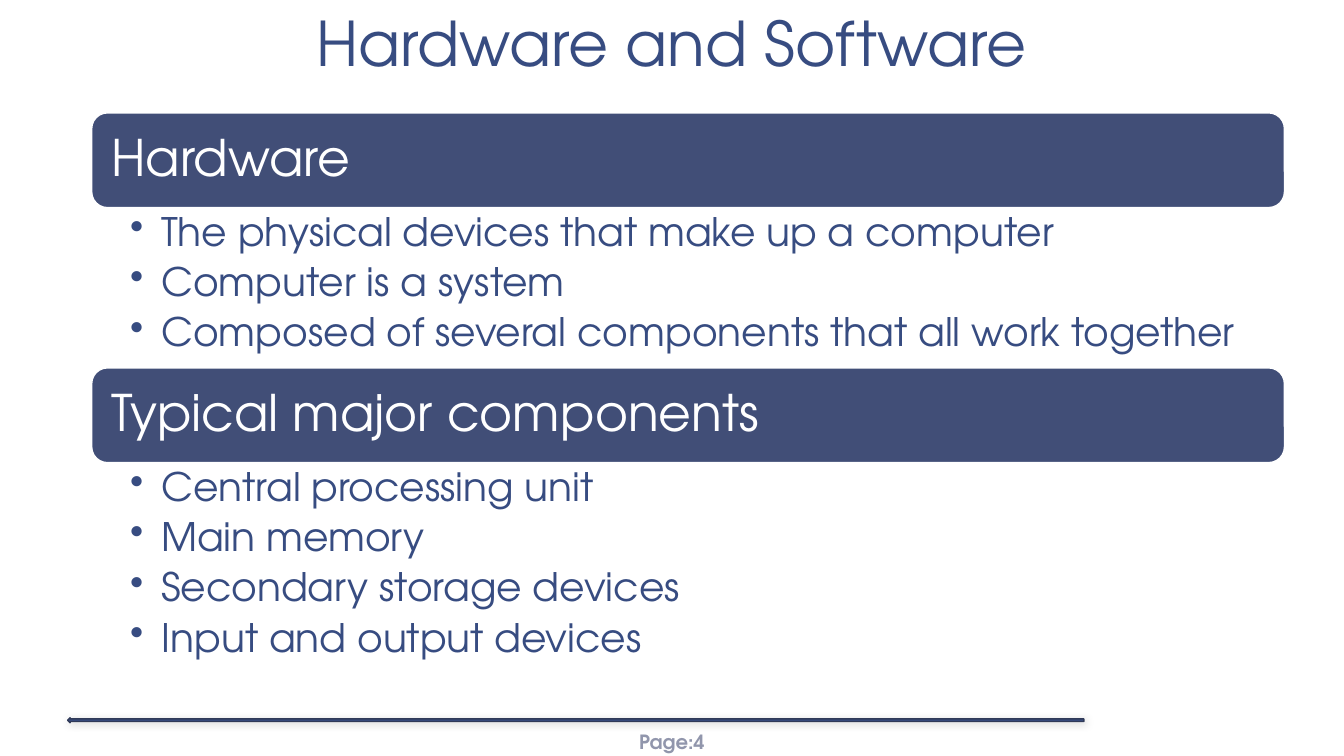
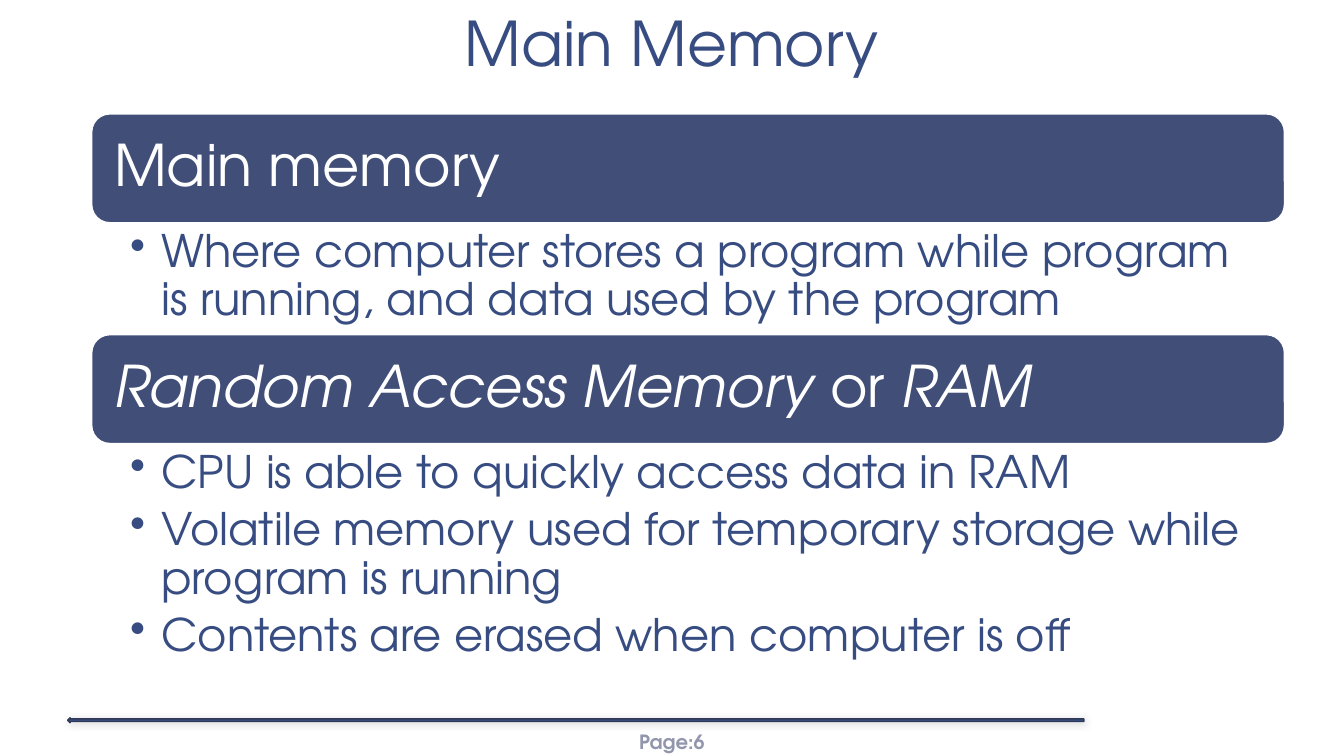
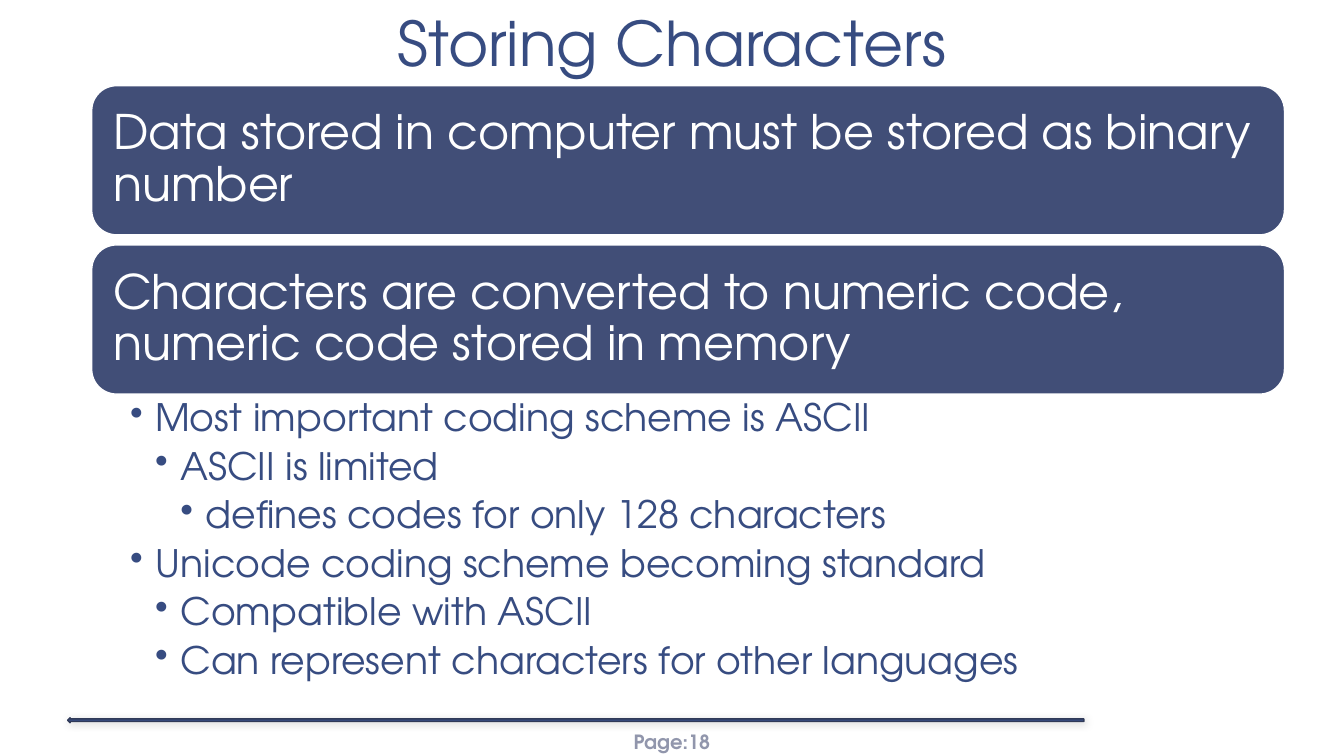
from lxml import etree
from pptx import Presentation
from pptx.dml.color import RGBColor
from pptx.enum import shapes, text
from pptx.oxml import parse_xml
from pptx.oxml.ns import nsdecls, qn
from pptx.util import Inches, Pt

COLORS = {"ink": "374C81", "band": "414E77", "edge": "303A58",
          "page": "9196AC", "white": "FFFFFF"}
FONT = "TeX Gyre Adventor"
LEFT, WIDTH = 0.91, 11.83

SLIDES = [
    {"title": "Hardware and Software", "page": 4, "top": 1.12, "band": 0.94, "gap": 0,
     "band_size": 36, "band_inset": 0.15, "size": 28, "indent": 0.31, "insets": (0.38, 0.05, 0.28, 0.05),
     "sections": [
         ([("Hardware", False)], 1.59,
          [(1, "The physical devices that make up a computer"),
           (1, "Computer is a system"),
           (1, "Composed of several components that all work together")]),
         ([("Typical major components", False)], 2.12,
          [(1, "Central processing unit"),
           (1, "Main memory"),
           (1, "Secondary storage devices"),
           (1, "Input and output devices")])]},
    {"title": "Main Memory", "page": 6, "top": 1.13, "band": 1.08, "gap": 0,
     "band_size": 41, "band_inset": 0.17, "size": 32, "indent": 0.31, "insets": (0.38, 0.06, 0.32, 0.06),
     "sections": [
         ([("Main memory", False)], 1.11,
          [(1, "Where computer stores a program while program is running, and data used by the program")]),
         ([("Random Access Memory", True), (" or ", False), ("RAM", True)], 2.32,
          [(1, "CPU is able to quickly access data in RAM"),
           (1, "Volatile memory used for temporary storage while program is running"),
           (1, "Contents are erased when computer is off")])]},
    {"title": "Storing Characters", "page": 18, "top": 0.85, "band": 1.48, "gap": 0.1,
     "band_size": 34, "band_inset": 0.14, "size": 27, "indent": 0.25, "insets": (0.38, 0.05, 0.26, 0.05),
     "sections": [
         ([("Data stored in computer must be stored as binary number", False)], 0, []),
         ([("Characters are converted to numeric code, numeric code stored in memory", False)], 3.08,
          [(1, "Most important coding scheme is ASCII"),
           (2, "ASCII is limited"),
           (3, "defines codes for only 128 characters"),
           (1, "Unicode coding scheme becoming standard"),
           (2, "Compatible with ASCII"),
           (2, "Can represent characters for other languages")])]},
]


def set_frame(shape, insets, anchor):
    frame = shape.text_frame
    frame.word_wrap = True
    frame.vertical_anchor = anchor
    frame.margin_left, frame.margin_top, frame.margin_right, frame.margin_bottom = map(Inches, insets)
    return frame


def add_run(paragraph, wording, size, color, bold=False, italic=False):
    run = paragraph.add_run()
    run.text = wording
    run.font.name = FONT
    run.font.size = Pt(size)
    run.font.bold = bold
    run.font.italic = italic
    run.font.color.rgb = RGBColor.from_string(COLORS[color])


prs = Presentation()
prs.slide_width, prs.slide_height = Inches(13.33), Inches(7.5)

for topic in SLIDES:
    slide = prs.slides.add_slide(prs.slide_layouts[6])

    page = slide.shapes.add_textbox(Inches(5.78), Inches(7.16), Inches(1.77), Inches(0.4))
    line = set_frame(page, (0.04, 0.02, 0.04, 0.02), text.MSO_ANCHOR.MIDDLE).paragraphs[0]
    line.alignment = text.PP_ALIGN.CENTER
    add_run(line, f"Page:{topic['page']}", 14, "page", bold=True)

    rule = slide.shapes.add_shape(shapes.MSO_SHAPE.LEFT_ARROW,
                                  Inches(0.67), Inches(7.12), Inches(10.08), Inches(0.05))
    rule.fill.solid()
    rule.fill.fore_color.rgb = RGBColor.from_string(COLORS["ink"])
    rule.line.color.rgb = RGBColor.from_string(COLORS["edge"])
    rule.line.width = Pt(1)
    rule.shadow.inherit = False
    rule._element.spPr.find(qn("a:effectLst")).append(parse_xml(
        f'<a:outerShdw {nsdecls("a")} blurRad="{Pt(6)}" dist="{Pt(1)}" dir="2700000">'
        '<a:srgbClr val="000000"><a:alpha val="20000"/></a:srgbClr></a:outerShdw>'))

    title = slide.shapes.add_textbox(Inches(1.11), 0, Inches(11.11), Inches(0.86))
    line = set_frame(title, (0.13, 0.07, 0.13, 0.07), text.MSO_ANCHOR.BOTTOM).paragraphs[0]
    line.alignment = text.PP_ALIGN.CENTER
    line.line_spacing = 0.85
    add_run(line, topic["title"], 44, "ink")

    top = topic["top"]
    for heading, body_height, bullets in topic["sections"]:
        band = slide.shapes.add_shape(shapes.MSO_SHAPE.ROUNDED_RECTANGLE, Inches(LEFT), Inches(top),
                                      Inches(WIDTH), Inches(topic["band"]))
        band.shadow.inherit = False
        band.fill.solid()
        band.fill.fore_color.rgb = RGBColor.from_string(COLORS["band"])
        band.line.color.rgb = RGBColor.from_string(COLORS["white"])
        band.line.width = Pt(1)
        line = set_frame(band, [topic["band_inset"]] * 4, text.MSO_ANCHOR.MIDDLE).paragraphs[0]
        line.alignment = text.PP_ALIGN.LEFT
        line.line_spacing = 0.9
        for wording, italic in heading:
            add_run(line, wording, topic["band_size"], "white", italic=italic)
        top += topic["band"]

        if bullets:
            body = slide.shapes.add_textbox(Inches(LEFT), Inches(top), Inches(WIDTH), Inches(body_height))
            frame = set_frame(body, topic["insets"], text.MSO_ANCHOR.TOP)
            for index, (level, wording) in enumerate(bullets):
                line = frame.add_paragraph() if index else frame.paragraphs[0]
                line.level = level
                line.line_spacing = 0.9
                line.space_after = Pt(topic["size"] * 0.2)
                props = line._p.get_or_add_pPr()
                props.set("marL", str(Inches(topic["indent"] * level)))
                props.set("indent", str(-Inches(topic["indent"])))
                etree.SubElement(props, qn("a:buChar")).set("char", "•")
                add_run(line, wording, topic["size"], "ink")
        top += body_height + topic["gap"]

prs.save("out.pptx")
